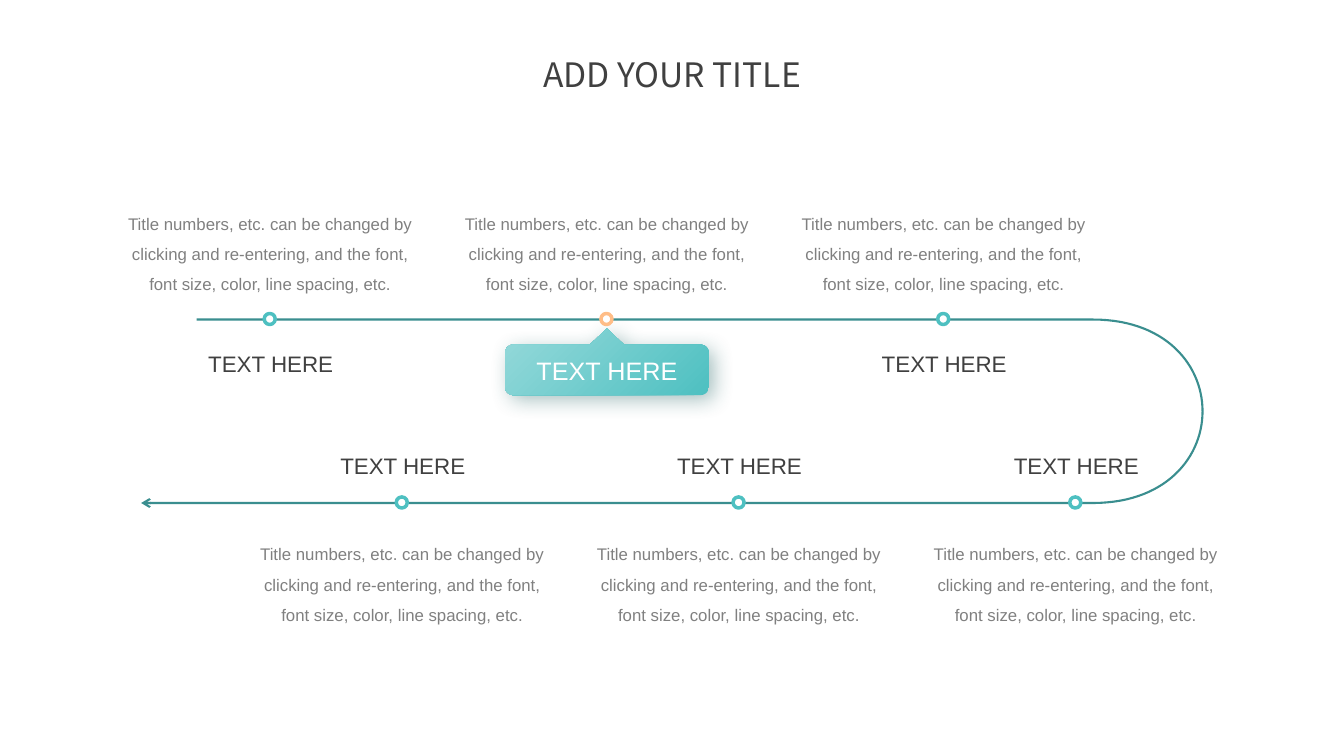
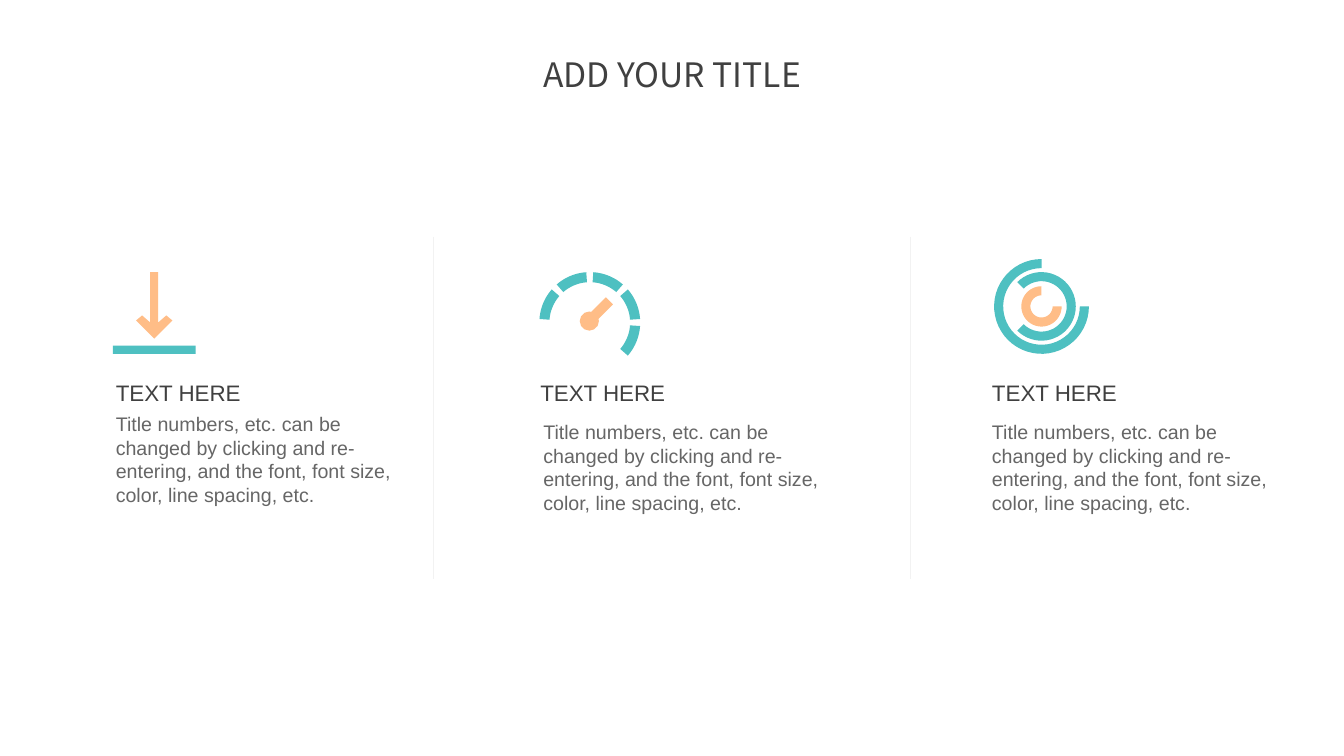
import math

from lxml import etree
from pptx import Presentation
from pptx.dml.color import RGBColor
from pptx.enum import shapes, text
from pptx.oxml import ns, parse_xml
from pptx.util import Inches, Pt

TEAL, DARK_TEAL, LIGHT_TEAL, PEACH = "4EC0C1", "3A8E8F", "95D9DA", "FFBD87"
INK, GRAY, SOFT_INK, WHITE, RULE = "404040", "808080", "666666", "FFFFFF", "F2F2F2"
TITLE_FONT, BODY_FONT = "Noto Sans CJK TC", "Arial"
LEFT, CENTER = text.PP_ALIGN.LEFT, text.PP_ALIGN.CENTER
LABEL = "TEXT HERE"
NOTE = ("Title numbers, etc. can be changed by clicking and re-entering, "
        "and the font, font size, color, line spacing, etc.")


def color(value):
    return RGBColor.from_string(value)


def paint(shape, fill=None, line=None, width=1):
    shape.shadow.inherit = False
    if fill:
        shape.fill.solid()
        shape.fill.fore_color.rgb = color(fill)
    else:
        shape.fill.background()
    if line:
        shape.line.color.rgb = color(line)
        shape.line.width = Pt(width)
    else:
        shape.line.fill.background()
    return shape


def place(shape, left, top, width, height):
    shape.left, shape.top = Inches(left), Inches(top)
    shape.width, shape.height = Inches(width), Inches(height)


def write(shape, words, size, ink, align, font=BODY_FONT, spacing=1.0, wrap=True):
    frame = shape.text_frame
    frame.text = words
    frame.word_wrap = wrap
    frame.auto_size = text.MSO_AUTO_SIZE.NONE
    para = frame.paragraphs[0]
    para.alignment = align
    para.line_spacing = spacing
    span = para.runs[0]
    span.font.name = font
    span.font.size = Pt(size)
    span.font.color.rgb = color(ink)


def add_text(page, left, top, width, height, words, size, ink, align, **style):
    box = page.shapes.add_textbox(Inches(left), Inches(top), Inches(width), Inches(height))
    write(box, words, size, ink, align, **style)


def add_label(page, left, top, align):
    add_text(page, left, top, 1.45, 0.37, LABEL, 16, INK, align, wrap=False)


def add_preset(page, kind, left, top, width, height, fill, line=None, weight=1):
    shape = page.shapes.add_shape(
        kind, Inches(left), Inches(top), Inches(width), Inches(height))
    return paint(shape, fill, line, weight)


def add_outline(page, points, closed=True):
    corners = [(Inches(x), Inches(y)) for x, y in points]
    builder = page.shapes.build_freeform(*corners[0])
    builder.add_line_segments(corners[1:], close=closed)
    return builder.convert_to_shape()


def arc(x, y, radius, start, end, steps=40):
    angles = [math.radians(start + (end - start) * i / steps) for i in range(steps + 1)]
    return [(x + radius * math.cos(a), y + radius * math.sin(a)) for a in angles]


def bezier(a, b, c, d, steps=60):
    points = []
    for i in range(steps + 1):
        t = i / steps
        weights = ((1 - t) ** 3, 3 * t * (1 - t) ** 2, 3 * t * t * (1 - t), t ** 3)
        points.append(tuple(sum(w * p[axis] for w, p in zip(weights, (a, b, c, d)))
                            for axis in (0, 1)))
    return points


def add_ring(page, x, y, outer, inner, start, end, fill):
    points = arc(x, y, outer, start, end) + arc(x, y, inner, end, start)
    paint(add_outline(page, points), fill)


def add_page(deck):
    page = deck.slides.add_slide(deck.slide_layouts[5])
    title = page.shapes.title
    place(title, 5.23, 0.53, 2.87, 0.46)
    write(title, "ADD YOUR TITLE", 24, INK, CENTER, TITLE_FONT, 0.9, False)
    title.text_frame.vertical_anchor = text.MSO_ANCHOR.MIDDLE
    return page


def add_callout(page, center, top):
    left, right = center - 1.01, center + 1.01
    body, bottom, radius = top + 0.16, top + 0.66, 0.08
    points = [(center, top), (center + 0.17, body)]
    for x, y, start in ((right - radius, body + radius, 270),
                        (right - radius, bottom - radius, 0),
                        (left + radius, bottom - radius, 90),
                        (left + radius, body + radius, 180)):
        points += arc(x, y, radius, start, start + 90, 10)
    points.append((center - 0.17, body))
    callout = paint(add_outline(page, points), TEAL)
    callout.fill.gradient()
    for stop, shade, position in zip(callout.fill.gradient_stops, (LIGHT_TEAL, TEAL), (0, 1)):
        stop.color.rgb = color(shade)
        stop.position = position
    gradient = callout.element.spPr.find(ns.qn("a:gradFill"))
    gradient.replace(gradient.find(ns.qn("a:lin")), parse_xml(
        f'<a:path {ns.nsdecls("a")} path="circle">'
        '<a:fillToRect r="100000" b="100000"/></a:path>'))
    effects = callout.element.spPr.find(ns.qn("a:effectLst"))
    effects.append(parse_xml(
        f'<a:outerShdw {ns.nsdecls("a")} blurRad="{Pt(15)}" dist="{Pt(5)}" dir="2700000">'
        '<a:srgbClr val="236464"><a:alpha val="40000"/></a:srgbClr></a:outerShdw>'))
    add_text(page, center - 0.81, top + 0.22, 1.62, 0.4, LABEL, 18, WHITE, CENTER, wrap=False)


def add_track(page, upper, lower):
    bend, reach = 10.84, 12.29
    curve = bezier((bend, upper), (reach, upper), (reach, lower), (bend, lower))
    track = paint(add_outline(page, [(1.95, upper), *curve, (1.4, lower)], False),
                  None, DARK_TEAL, 1.5)
    line = track.line._get_or_add_ln()
    etree.SubElement(line, ns.qn("a:tailEnd"), type="arrow")


def add_milestone(page, x, y, label_top, note_top, active=False):
    add_preset(page, shapes.MSO_SHAPE.OVAL, x - 0.06, y - 0.06, 0.11, 0.11,
               WHITE, PEACH if active else TEAL, 2.5)
    if not active:
        add_label(page, x - 0.72, label_top, CENTER)
    add_text(page, x - 1.54, note_top, 3.08, 0.97, NOTE, 12, GRAY, CENTER, spacing=1.5)


def build_timeline(deck):
    page = add_page(deck)
    upper, lower, pitch = 3.17, 4.99, 3.34
    add_callout(page, 2.68 + pitch, 3.26)
    add_track(page, upper, lower)
    for i in range(3):
        add_milestone(page, 2.68 + pitch * i, upper, 3.42, 1.97, active=i == 1)
        add_milestone(page, 3.99 + pitch * i, lower, 4.44, 5.25)


def draw_download(page, left, top):
    x = left + 0.41
    half = [(0.04, 0), (0.04, 0.5), (0.12, 0.43), (0.18, 0.48)]
    points = [(x + dx, top + dy) for dx, dy in half] + [(x, top + 0.66)]
    points += [(x - dx, top + dy) for dx, dy in reversed(half)]
    paint(add_outline(page, points), PEACH)
    add_preset(page, shapes.MSO_SHAPE.RECTANGLE, left, top + 0.73, 0.82, 0.08, TEAL)


def draw_gauge(page, left, top):
    x, y = left + 0.5, top + 0.5
    for i in range(5):
        start = 184 + 45 * i
        add_ring(page, x, y, 0.5, 0.4, start, start + 37, TEAL)
    add_preset(page, shapes.MSO_SHAPE.OVAL, x - 0.1, y - 0.11, 0.19, 0.19, PEACH)
    needle = [(-0.04, -0.05), (0.16, -0.25), (0.23, -0.18), (0.03, 0.02)]
    paint(add_outline(page, [(x + dx, y + dy) for dx, dy in needle]), PEACH)


def draw_rings(page, left, top):
    x, y = left + 0.47, top + 0.47
    for outer, inner, start, fill in ((0.47, 0.38, 0, TEAL),
                                      (0.34, 0.25, 225, TEAL),
                                      (0.2, 0.11, 0, PEACH)):
        add_ring(page, x, y, outer, inner, start, start + 270, fill)


def add_divider(page, x):
    divider = page.shapes.add_connector(
        shapes.MSO_CONNECTOR.STRAIGHT, Inches(x), Inches(2.35), Inches(x), Inches(5.74))
    divider.line.color.rgb = color(RULE)
    divider.line.width = Pt(1)
    etree.SubElement(divider.element.spPr, ns.qn("a:effectLst"))


def build_features(deck):
    page = add_page(deck)
    for x in (4.3, 9.03):
        add_divider(page, x)
    draw_download(page, 1.12, 2.7)
    draw_gauge(page, 5.35, 2.7)
    draw_rings(page, 9.86, 2.57)
    for label_left, note_left, note_top in ((1.05, 1.05, 4.04),
                                            (5.26, 5.29, 4.12),
                                            (9.74, 9.74, 4.12)):
        add_label(page, label_left, 3.71, LEFT)
        add_text(page, note_left, note_top, 3.1, 1.04, NOTE, 14, SOFT_INK, LEFT)


def main():
    deck = Presentation()
    deck.slide_width, deck.slide_height = Inches(13.33), Inches(7.5)
    build_timeline(deck)
    build_features(deck)
    deck.save("out.pptx")


if __name__ == "__main__":
    main()
